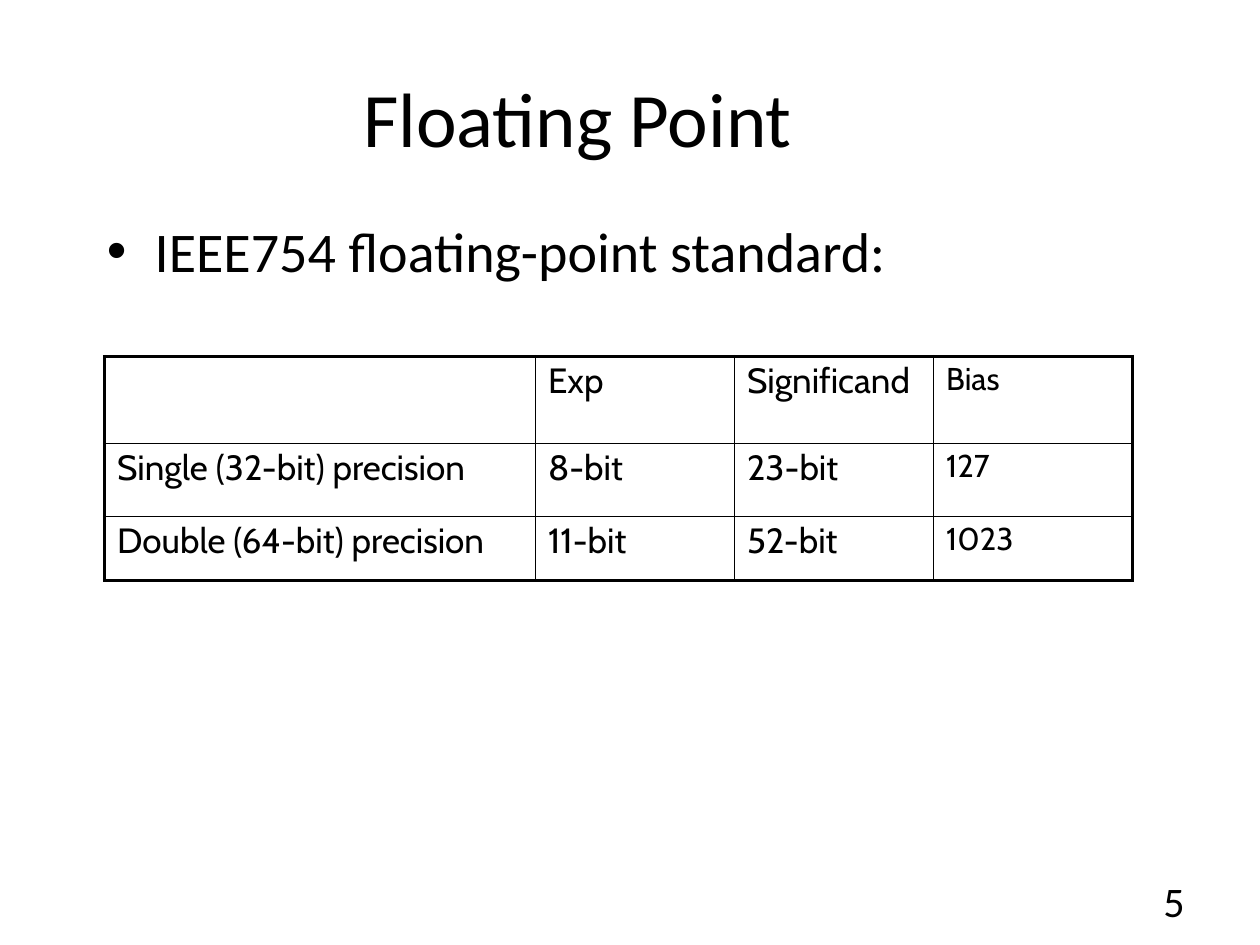
"""Build the floating-point formats slide."""
from lxml import etree
from pptx import Presentation
from pptx import util as u
from pptx.dml.color import RGBColor
from pptx.enum import text
from pptx.oxml import ns

COLORS = {"ink": "000000"}
HEADING_FONT, TABLE_FONT = "Calibri", "Cabin"
COLUMNS = [3.42, 1.58, 1.58, 1.58]
ROWS = [0.69, 0.58, 0.51]
FORMATS = [
    ["", "Exp", "Significand", "Bias"],
    ["Single (32-bit) precision", "8-bit", "23-bit", "127"],
    ["Double (64-bit) precision", "11-bit", "52-bit", "1023"],
]


def add_run(p, words, size, font):
    """Add one styled run to a paragraph."""
    r = p.add_run()
    r.text = words
    r.font.size = u.Pt(size)
    r.font.name = font
    r.font.color.rgb = RGBColor.from_string(COLORS["ink"])


def add_text(s, box, words, size, align, anchor=text.MSO_ANCHOR.MIDDLE):
    """Add a wrapped text box and return its paragraph."""
    tf = s.shapes.add_textbox(*map(u.Inches, box)).text_frame
    tf.word_wrap = True
    tf.vertical_anchor = anchor
    p = tf.paragraphs[0]
    p.alignment = align
    add_run(p, words, size, HEADING_FONT)
    return p


def add_bullet(p, indent):
    """Give a paragraph a hanging round bullet."""
    pPr = p._p.get_or_add_pPr()
    pPr.set("marL", str(u.Inches(indent)))
    pPr.set("indent", str(-u.Inches(indent)))
    etree.SubElement(pPr, ns.qn("a:buFont"), typeface="Arial")
    etree.SubElement(pPr, ns.qn("a:buChar"), char="•")


def set_borders(cell, outer):
    """Draw thick lines on outer sides and thin lines on the others."""
    tcPr = cell._tc.get_or_add_tcPr()
    for i, side in enumerate("LRTB"):
        width = u.Pt(2.25 if side in outer else 1)
        ln = etree.Element(ns.qn(f"a:ln{side}"), w=str(width))
        fill = etree.SubElement(ln, ns.qn("a:solidFill"))
        etree.SubElement(fill, ns.qn("a:srgbClr"), val=COLORS["ink"])
        tcPr.insert(i, ln)


def add_grid(s, left, top):
    """Add the table of formats with a thick outer frame."""
    n_rows, n_cols = len(ROWS), len(COLUMNS)
    size = (left, top, sum(COLUMNS), sum(ROWS))
    table = s.shapes.add_table(n_rows, n_cols, *map(u.Inches, size)).table
    table.first_row = table.horz_banding = False
    for column, width in zip(table.columns, COLUMNS):
        column.width = u.Inches(width)
    for i, height in enumerate(ROWS):
        table.rows[i].height = u.Inches(height)
        for j, words in enumerate(FORMATS[i]):
            cell = table.cell(i, j)
            cell.fill.background()
            edges = {"L": j == 0, "R": j == n_cols - 1,
                     "T": i == 0, "B": i == n_rows - 1}
            set_borders(cell, [side for side, on in edges.items() if on])
            if words:
                p = cell.text_frame.paragraphs[0]
                p.line_spacing = 0.9
                add_run(p, words, 18 if j == n_cols - 1 else 20, TABLE_FONT)


def main():
    """Build and save the slide."""
    prs = Presentation()
    prs.slide_width, prs.slide_height = u.Inches(10), u.Inches(7.5)
    s = prs.slides.add_slide(prs.slide_layouts[6])
    align = text.PP_ALIGN
    add_text(s, (0.5, 0.3, 8.17, 1.25), "Floating Point", 44, align.CENTER)
    p = add_text(s, (0.75, 1.67, 8.5, 5), "IEEE754 floating-point standard:",
                 32, align.LEFT, text.MSO_ANCHOR.TOP)
    add_bullet(p, 0.38)
    add_text(s, (8.33, 6.95, 1.17, 0.4), "5", 24, align.RIGHT)
    add_grid(s, 0.83, 2.83)
    prs.save("out.pptx")


if __name__ == "__main__":
    main()
